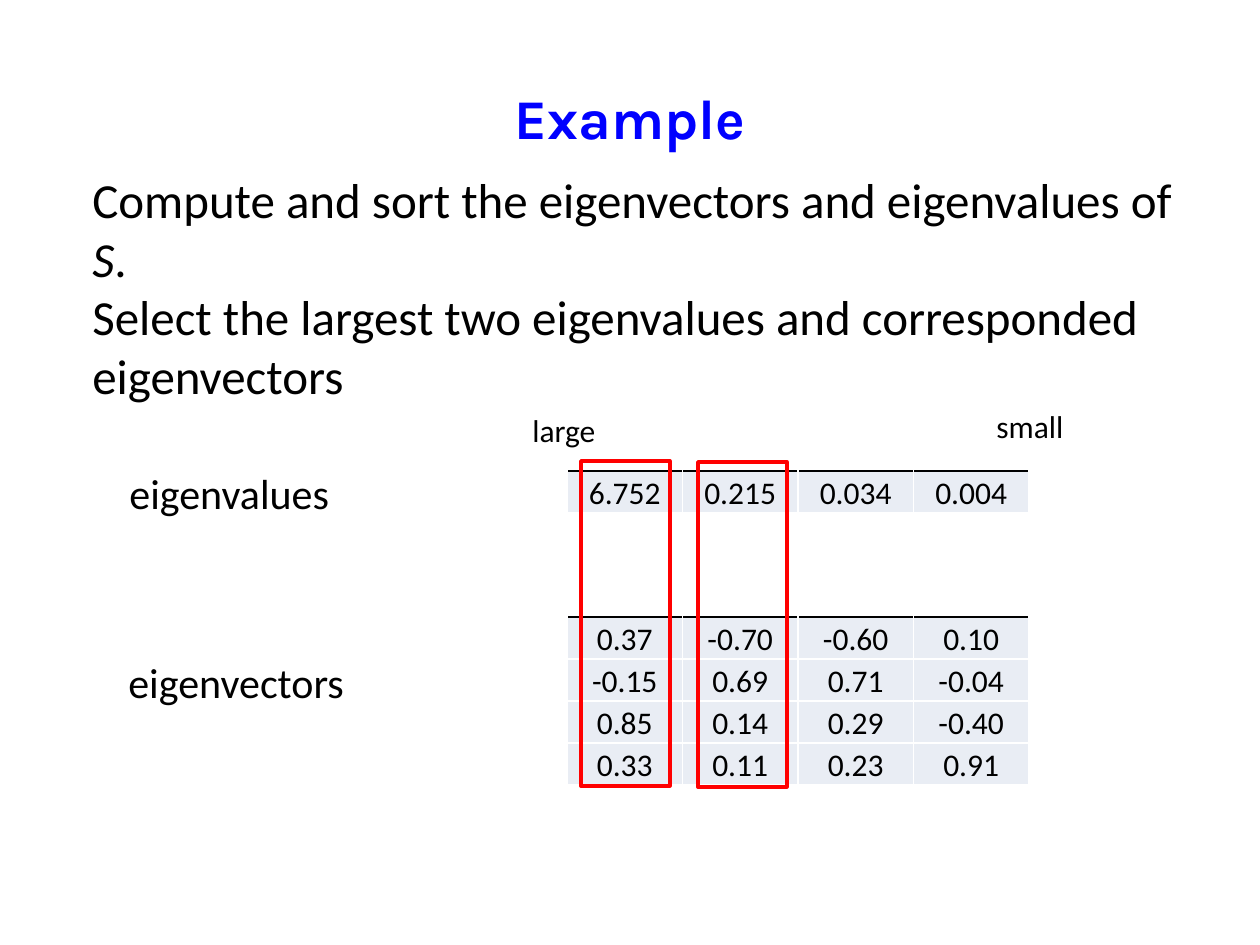
import lxml.etree
import pptx
import pptx.dml.color
import pptx.enum.shapes
import pptx.enum.text
import pptx.oxml.ns
import pptx.util

PX = 914400 // 126
COLORS = {
    "title": "0000FF",
    "text": "000000",
    "cell": "E9EDF4",
    "grid": "FFFFFF",
    "rule": "000000",
    "highlight": "FF0000",
}
ALIGN = pptx.enum.text.PP_ALIGN
ANCHOR = pptx.enum.text.MSO_ANCHOR


def color(name):
    return pptx.dml.color.RGBColor.from_string(COLORS[name])


class SlideBuilder:
    font = "Calibri"

    def __init__(self, slide):
        self.slide = slide

    def box(self, *lengths):
        return [pptx.util.Emu(length * PX) for length in lengths]

    def run(self, paragraph, text, size, ink="text", font=None, bold=False, italic=False):
        run = paragraph.add_run()
        run.text = text
        run.font.name = font or self.font
        run.font.size = pptx.util.Pt(size)
        run.font.bold = bold
        run.font.italic = italic
        run.font.color.rgb = color(ink)

    def text(self, place, paragraphs, size, wrap=True, align=ALIGN.LEFT,
             anchor=ANCHOR.TOP, **style):
        frame = self.slide.shapes.add_textbox(*self.box(*place)).text_frame
        frame.word_wrap = wrap
        frame.vertical_anchor = anchor
        for index, runs in enumerate(paragraphs):
            paragraph = frame.add_paragraph() if index else frame.paragraphs[0]
            paragraph.alignment = align
            for text, italic in runs:
                self.run(paragraph, text, size, italic=italic, **style)

    def label(self, place, text, size, wrap=False):
        self.text(place, [[(text, False)]], size, wrap)

    def border(self, cell, edges):
        properties = cell._tc.get_or_add_tcPr()
        for index, (side, ink) in enumerate(edges.items()):
            line = lxml.etree.Element(pptx.oxml.ns.qn(f"a:ln{side}"), w="12700")
            fill = lxml.etree.SubElement(line, pptx.oxml.ns.qn("a:solidFill"))
            lxml.etree.SubElement(fill, pptx.oxml.ns.qn("a:srgbClr"), val=COLORS[ink])
            properties.insert(index, line)

    def table(self, left, top, width, row_height, rows, size):
        place = self.box(left, top, width, row_height * len(rows))
        table = self.slide.shapes.add_table(len(rows), len(rows[0]), *place).table
        table.first_row = False
        table.horz_banding = False
        for row_index, values in enumerate(rows):
            for column_index, value in enumerate(values):
                cell = table.cell(row_index, column_index)
                cell.fill.solid()
                cell.fill.fore_color.rgb = color("cell")
                cell.vertical_anchor = ANCHOR.BOTTOM
                cell.margin_left = cell.margin_right = cell.margin_top = self.box(1)[0]
                cell.margin_bottom = 0
                paragraph = cell.text_frame.paragraphs[0]
                paragraph.alignment = ALIGN.CENTER
                self.run(paragraph, value, size)
                top_ink = "grid" if row_index else "rule"
                self.border(cell, {"L": "grid", "R": "grid", "T": top_ink, "B": "grid"})

    def highlight(self, *place):
        kind = pptx.enum.shapes.MSO_SHAPE.RECTANGLE
        shape = self.slide.shapes.add_shape(kind, *self.box(*place))
        shape.shadow.inherit = False
        shape.fill.background()
        shape.line.color.rgb = color("highlight")
        shape.line.width = pptx.util.Pt(2)


def main():
    presentation = pptx.Presentation()
    presentation.slide_width = pptx.util.Inches(10)
    presentation.slide_height = pptx.util.Inches(7.5)
    builder = SlideBuilder(presentation.slides.add_slide(presentation.slide_layouts[6]))

    builder.text((63, 38, 1134, 158), [[("Example", False)]], 32, align=ALIGN.CENTER,
                 anchor=ANCHOR.MIDDLE, ink="title", font="Karla", bold=True)
    builder.text((80, 163, 1149, 190), [
        [("Compute and sort the eigenvectors and eigenvalues of ", False),
         ("S", True), (".", False)],
        [("Select the largest two eigenvalues and corresponded eigenvectors", False)],
    ], 28)

    eigenvectors = [
        ["0.37", "-0.70", "-0.60", "0.10"],
        ["-0.15", "0.69", "0.71", "-0.04"],
        ["0.85", "0.14", "0.29", "-0.40"],
        ["0.33", "0.11", "0.23", "0.91"],
    ]
    eigenvalues = [["6.752", "0.215", "0.034", "0.004"]]
    for top, rows in ((617, eigenvectors), (471, eigenvalues)):
        builder.table(567, top, 462, 42, rows, 18)

    builder.label((117, 461, 227, 63), "eigenvalues", 24)
    builder.label((116, 650, 378, 63), "eigenvectors", 24, wrap=True)
    builder.label((520, 405, 89, 50), "large", 18)
    builder.label((984, 401, 93, 50), "small", 18)

    for left, top in ((581, 461), (698, 462)):
        builder.highlight(left, top, 89, 325)

    presentation.save("out.pptx")


if __name__ == "__main__":
    main()
